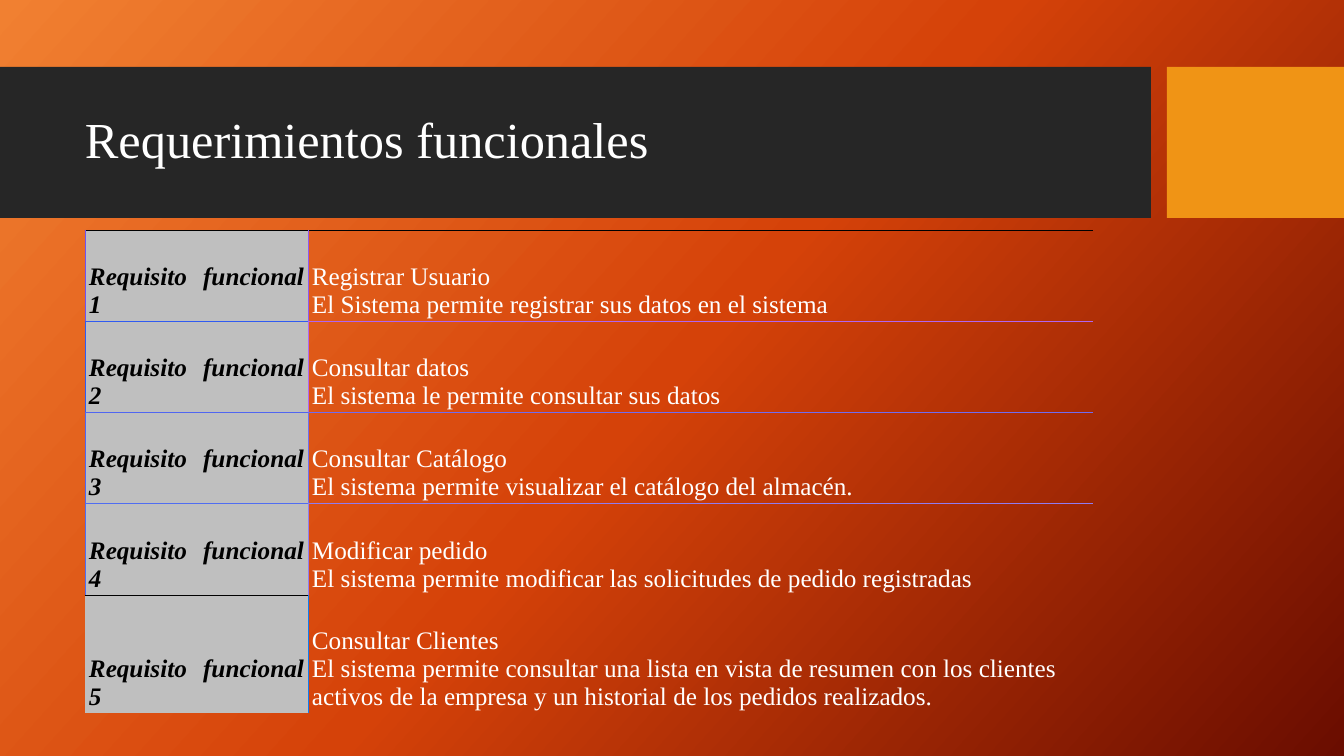
import copy

import lxml.etree
import pptx
import pptx.dml.color
import pptx.enum.shapes
import pptx.enum.text
import pptx.oxml.ns
import pptx.util

TITLE = "Requerimientos funcionales"
REQUIREMENTS = [
    ("Registrar Usuario", "El Sistema permite registrar sus datos en el sistema"),
    ("Consultar datos", "El sistema le permite consultar sus datos"),
    ("Consultar Catálogo", "El sistema permite visualizar el catálogo del almacén."),
    ("Modificar pedido", "El sistema permite modificar las solicitudes de pedido registradas"),
    ("Consultar Clientes", "El sistema permite consultar una lista en vista de resumen con los "
     "clientes activos de la empresa y un historial de los pedidos realizados."),
]
BACKGROUND = [(0, "F18031"), (0.5, "D54209"), (1, "6A0D00")]
BANDS = [(0, 67, 1151, 151, "262626"), (1167, 67, 177, 151, "F09415")]

TITLE_BOX = (75, 83, 1059, 119)
TABLE_X, TABLE_Y = 85, 230
COLUMN_WIDTHS = [223, 785]
ROW_HEIGHTS = [91, 91, 91, 92, 118]
LABEL_FILL = "BFBFBF"
NO_STYLE = "{2D5ABB26-0587-4C30-8999-92F81FD0307C}"

# Border colours by row; None leaves the edge undrawn
LEFT = ["7052F1", "305BF1", "5066F1", "506DF1", None]
MIDDLE = ["9056F1", "B065F1", "706CF1", "907CF1", "107BF1"]
# Horizontal edges from the top of the table down: (label, description)
EDGES = [("000000", "000000"), ("305BF1", "B065F1"), ("5066F1", "706CF1"),
         ("506DF1", "907CF1"), ("000000", None), (None, None)]

FONT = "Times New Roman"
ALIGN = pptx.enum.text.PP_ALIGN
ANCHOR = pptx.enum.text.MSO_ANCHOR


def px(n):
    return pptx.util.Emu(round(n * 914400 / 100.8))


def rgb(value):
    return pptx.dml.color.RGBColor.from_string(value)


def write(tf, *lines, size=18, color="FFFFFF", strong=False, align=ALIGN.LEFT, spacing=None):
    """Write lines into one paragraph; strong means bold italic."""
    p = tf.paragraphs[0]
    p.alignment = align
    p.line_spacing = spacing
    for i, line in enumerate(lines):
        if i:
            p.add_line_break()
        r = p.add_run()
        r.text = line
        r.font.name = FONT
        r.font.size = pptx.util.Pt(size)
        r.font.bold = r.font.italic = strong
        r.font.color.rgb = rgb(color)


def set_borders(cell, **colors):
    """Draw the cell edges given as L, R, T and B."""
    tc_pr = cell._tc.get_or_add_tcPr()
    for i, side in enumerate("LRTB"):
        ln = lxml.etree.Element(pptx.oxml.ns.qn(f"a:ln{side}"), w=str(pptx.util.Pt(0.75)))
        color = colors.get(side)
        fill = lxml.etree.SubElement(ln, pptx.oxml.ns.qn("a:solidFill" if color else "a:noFill"))
        if color:
            lxml.etree.SubElement(fill, pptx.oxml.ns.qn("a:srgbClr"), val=color)
        tc_pr.insert(i, ln)


def paint_background(s):
    fill = s.background.fill
    fill.gradient()
    fill.gradient_angle = 360 - 42
    stops = s._element.xpath(".//a:gsLst")[0]
    stops.append(copy.deepcopy(stops[-1]))
    for stop, (position, color) in zip(fill.gradient_stops, BACKGROUND):
        stop.position = position
        stop.color.rgb = rgb(color)


def add_band(s, x, y, w, h, color):
    band = s.shapes.add_shape(pptx.enum.shapes.MSO_SHAPE.RECTANGLE, px(x), px(y), px(w), px(h))
    band.shadow.inherit = False
    band.fill.solid()
    band.fill.fore_color.rgb = rgb(color)
    band.line.fill.background()


def add_title(s):
    tf = s.shapes.add_textbox(*map(px, TITLE_BOX)).text_frame
    tf.word_wrap = True
    tf.vertical_anchor = ANCHOR.MIDDLE
    write(tf, TITLE, size=36, spacing=0.9)


def add_requirements(s):
    frame = s.shapes.add_table(len(REQUIREMENTS), 2, px(TABLE_X), px(TABLE_Y),
                               px(sum(COLUMN_WIDTHS)), px(sum(ROW_HEIGHTS)))
    table = frame.table
    table.first_row = table.horz_banding = False
    table._tbl.tblPr.find(pptx.oxml.ns.qn("a:tableStyleId")).text = NO_STYLE
    for column, width in zip(table.columns, COLUMN_WIDTHS):
        column.width = px(width)
    for row, height in zip(table.rows, ROW_HEIGHTS):
        row.height = px(height)

    for cell in table.iter_cells():
        cell.margin_left = cell.margin_right = px(4)
        cell.margin_top = cell.margin_bottom = px(2)
        cell.vertical_anchor = ANCHOR.BOTTOM

    for i, lines in enumerate(REQUIREMENTS):
        label, description = table.cell(i, 0), table.cell(i, 1)
        label.fill.solid()
        label.fill.fore_color.rgb = rgb(LABEL_FILL)
        description.fill.background()
        write(label.text_frame, f"Requisito funcional {i + 1}",
              color="000000", strong=True, align=ALIGN.JUSTIFY)
        write(description.text_frame, *lines)
        set_borders(label, L=LEFT[i], R=MIDDLE[i], T=EDGES[i][0], B=EDGES[i + 1][0])
        set_borders(description, L=MIDDLE[i], T=EDGES[i][1], B=EDGES[i + 1][1])


def main():
    prs = pptx.Presentation()
    prs.slide_width, prs.slide_height = px(1344), px(756)
    s = prs.slides.add_slide(prs.slide_layouts[6])
    paint_background(s)
    for band in BANDS:
        add_band(s, *band)
    add_title(s)
    add_requirements(s)
    prs.save("out.pptx")


if __name__ == "__main__":
    main()
